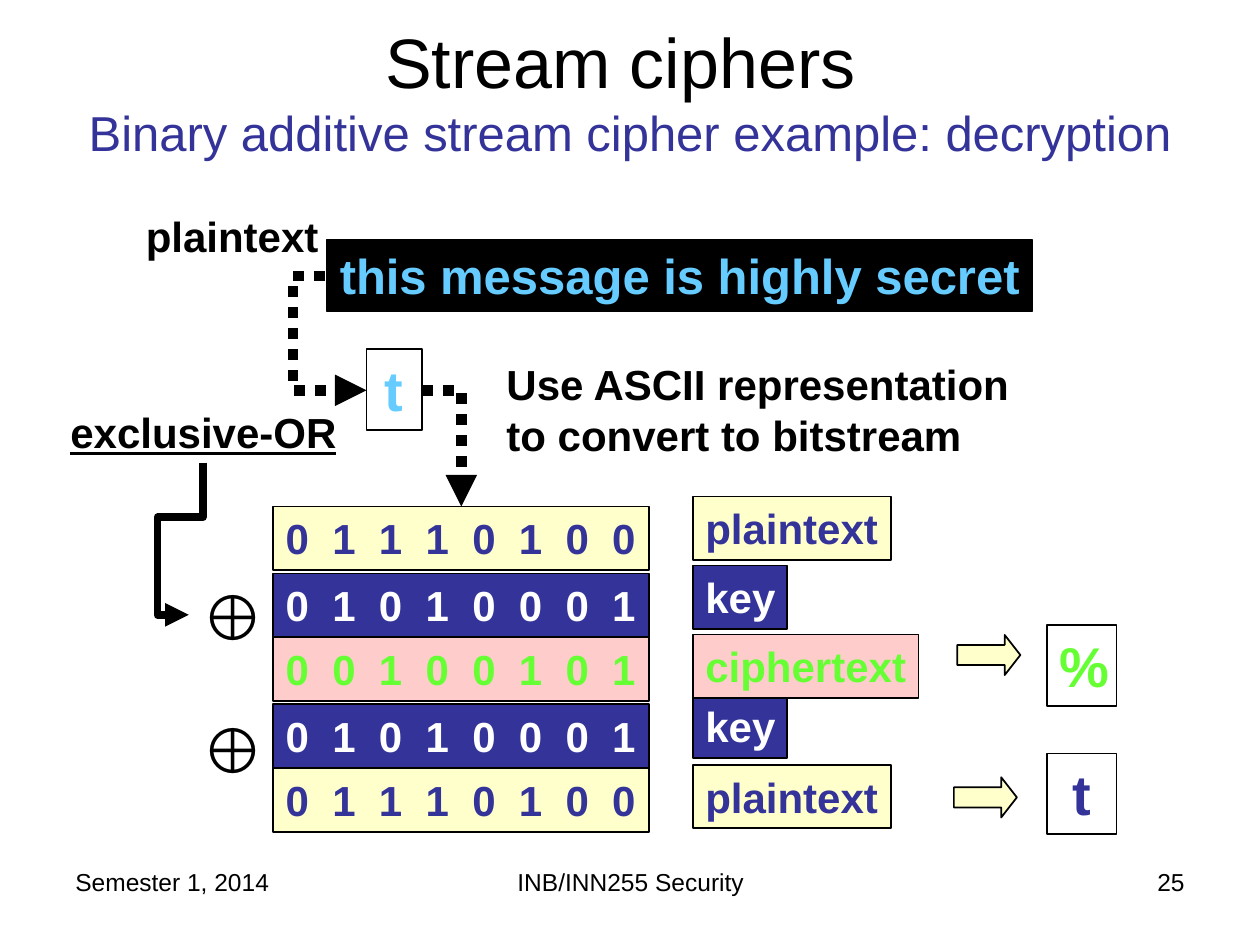
from lxml import etree
from pptx import Presentation
from pptx import util as u
from pptx.dml.color import RGBColor
from pptx.enum import dml, shapes, text
from pptx.oxml import ns

Cm, Pt = u.Cm, u.Pt
COLORS = {
    "black": "000000", "white": "FFFFFF", "navy": "333399", "cream": "FFFFCC",
    "pink": "FFCCCC", "green": "66FF33", "sky": "66CCFF",
}
# kind of row: fill, text colour, label width
ROW_STYLES = {
    "plaintext": ("cream", "navy", 3.99),
    "key": ("navy", "white", 1.9),
    "ciphertext": ("pink", "green", 4.55),
}
# kind, bits, top of the bits, top of the label
ROWS = [
    ("plaintext", "01110100", 10.21, 10.01),
    ("key", "01010001", 11.56, 11.4),
    ("ciphertext", "00100101", 12.85, 12.79),
    ("key", "01010001", 14.2, 14),
    ("plaintext", "01110100", 15.49, 15.42),
]
ROW_HEIGHT = 1.28
LEFT, CENTER, RIGHT = text.PP_ALIGN.LEFT, text.PP_ALIGN.CENTER, text.PP_ALIGN.RIGHT


def rgb(name):
    return RGBColor.from_string(COLORS[name])


def style_span(span, size, color, bold=False):
    span.font.name = "Arial"
    span.font.size = Pt(size)
    span.font.bold = bold
    span.font.color.rgb = rgb(color)


def write(box, words, size, color, bold=True, align=LEFT, wrap=False):
    frame = box.text_frame
    frame.text = words
    frame.word_wrap = wrap
    frame.vertical_anchor = text.MSO_ANCHOR.TOP
    for para in frame.paragraphs:
        para.alignment = align
        for span in para.runs:
            style_span(span, size, color, bold)


def add_label(page, area, words, size=24, **options):
    box = page.shapes.add_textbox(*map(Cm, area))
    write(box, words, size, "black", **options)
    return box


def add_outlined(page, kind, area, fill=None):
    box = page.shapes.add_shape(kind, *map(Cm, area))
    box.shadow.inherit = False
    if fill:
        box.fill.solid()
        box.fill.fore_color.rgb = rgb(fill)
    else:
        box.fill.background()
    box.line.color.rgb = rgb("black")
    box.line.width = Pt(1)
    return box


def add_text_box(page, area, words, color, fill, size=24):
    box = add_outlined(page, shapes.MSO_SHAPE.RECTANGLE, area, fill)
    write(box, words, size, color)


def add_letter(page, area, letter, color):
    box = add_outlined(page, shapes.MSO_SHAPE.RECTANGLE, area)
    write(box, letter, 32, color, align=CENTER, wrap=True)
    box.text_frame.paragraphs[0].space_before = Pt(2)


def add_block_arrow(page, left, top):
    arrow = add_outlined(page, shapes.MSO_SHAPE.RIGHT_ARROW, (left, top, 1.27, 0.81), "cream")
    arrow.adjustments[1] = 0.39


def add_elbow(page, ends, preset, bends=(), width=6, dotted=True, turn=0):
    """Bent arrow; bends are shares of its width and height, turn is in degrees."""
    line = page.shapes.add_connector(shapes.MSO_CONNECTOR.ELBOW, *map(Cm, ends))
    line.line.color.rgb = rgb("black")
    line.line.width = Pt(width)
    if dotted:
        line.line.dash_style = dml.MSO_LINE.ROUND_DOT
    properties = line._element.spPr
    geometry = properties.find(ns.qn("a:prstGeom"))
    geometry.set("prst", preset)
    guides = geometry.find(ns.qn("a:avLst"))
    for number, bend in enumerate(bends, 1):
        etree.SubElement(guides, ns.qn("a:gd"), name=f"adj{number}",
                         fmla=f"val {round(bend * 100000)}")
    if turn:
        properties.find(ns.qn("a:xfrm")).set("rot", str(turn * 60000))
    etree.SubElement(properties.find(ns.qn("a:ln")), ns.qn("a:tailEnd"), type="triangle")
    etree.SubElement(properties, ns.qn("a:effectLst"))


def add_title(page):
    box = add_label(
        page, (1.27, 0.53, 22.86, 2.57),
        "Stream ciphers \vBinary additive stream cipher example: decryption",
        40, bold=False, align=CENTER, wrap=True)
    box.text_frame.vertical_anchor = text.MSO_ANCHOR.MIDDLE
    style_span(box.text_frame.paragraphs[0].runs[1], 28, "navy")


def add_rows(page):
    # Upper rows lie over lower ones
    for kind, bits, bits_top, label_top in reversed(ROWS):
        fill, color, label_width = ROW_STYLES[kind]
        add_text_box(page, (5.51, bits_top, 7.57, ROW_HEIGHT), "  ".join(bits), color, fill)
        add_text_box(page, (13.97, label_top, label_width, ROW_HEIGHT), kind, color, fill)


def main():
    deck = Presentation()
    deck.slide_width, deck.slide_height = Cm(25.4), Cm(19.05)
    page = deck.slides.add_slide(deck.slide_layouts[6])

    add_title(page)
    add_rows(page)

    # Message and its first letter
    add_label(page, (2.69, 4.11, 3.99, ROW_HEIGHT), "plaintext")
    add_text_box(page, (6.6, 4.83, 14.2, 1.45), "this message is highly secret",
                 "sky", "black", 28)
    add_letter(page, (7.39, 7.04, 1.12, 1.63), "t", "sky")
    add_label(page, (9.96, 7.11, 10.9, 2.29),
              "Use ASCII representation\nto convert to bitstream")
    add_elbow(page, (6.55, 5.56, 7.39, 7.87), "bentConnector3", [-0.76])
    add_elbow(page, (8.51, 7.87, 9.3, 10.21), "bentConnector2")

    # Exclusive-OR signs
    operation = add_label(page, (1.17, 8.08, 5.87, ROW_HEIGHT), "exclusive-OR")
    operation.text_frame.paragraphs[0].runs[0].font.underline = True
    for top in (11.51, 14.2):
        add_label(page, (3.81, top, 1.5, 1.78), "⊕", 36, wrap=True)
    add_elbow(page, (2.41, 10.72, 5.48, 11), "bentConnector4", [0.36, 3.25],
              width=4.5, dotted=False, turn=90)

    # Resulting characters
    add_block_arrow(page, 19.3, 12.8)
    add_letter(page, (21.11, 12.6, 1.4, 1.63), "%", "green")
    add_block_arrow(page, 19.23, 15.67)
    add_letter(page, (21.11, 15.19, 1.4, 1.63), "t", "navy")

    # Footer
    for left, width, words, align in (
        (1.27, 5.92, "Semester 1, 2014", LEFT),
        (8.69, 8.05, "INB/INN255 Security", CENTER),
        (18.21, 5.92, "25", RIGHT),
    ):
        add_label(page, (left, 17.35, width, 1.32), words, 14,
                  bold=False, align=align, wrap=True)

    deck.save("out.pptx")


if __name__ == "__main__":
    main()
